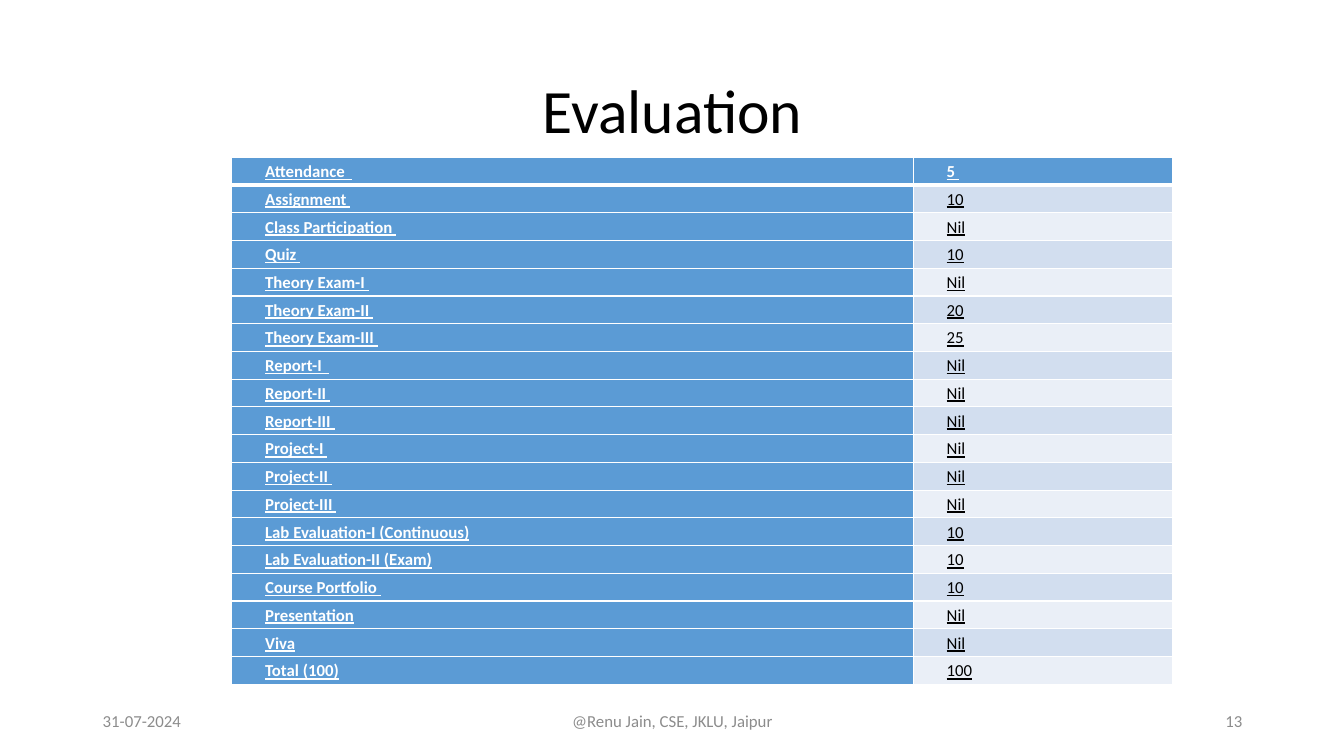
from lxml import etree
from pptx import Presentation
from pptx.dml.color import RGBColor
from pptx.enum.text import MSO_ANCHOR, PP_ALIGN
from pptx.oxml.ns import qn
from pptx.util import Pt

LEFT, CENTER, RIGHT, JUSTIFY = PP_ALIGN.LEFT, PP_ALIGN.CENTER, PP_ALIGN.RIGHT, PP_ALIGN.JUSTIFY
MIDDLE = MSO_ANCHOR.MIDDLE
PX = 9144
THEME = {
    "font": "Calibri", "title": 44, "small": 12,
    "black": "000000", "white": "FFFFFF", "grey": "8C8C8C",
    "blue": "5B9BD5", "bands": ("EAEFF7", "D2DEEF"),
}


def write(tf, text, size, color, align, **font):
    tf.vertical_anchor = MIDDLE
    p = tf.paragraphs[0]
    p.alignment = align
    r = p.add_run()
    r.text = text
    r.font.color.rgb = RGBColor.from_string(THEME[color])
    for name, value in {"name": THEME["font"], "size": Pt(THEME[size]), **font}.items():
        setattr(r.font, name, value)
    return p


def border(cell, side, width):
    ln = etree.SubElement(cell._tc.get_or_add_tcPr(), qn(f"a:ln{side}"), w=str(Pt(width)))
    fill = etree.SubElement(ln, qn("a:solidFill"))
    etree.SubElement(fill, qn("a:srgbClr"), val=THEME["white"])


prs = Presentation()
prs.slide_width, prs.slide_height = 1333 * PX, 750 * PX
s = prs.slides.add_slide(prs.slide_layouts[5])

title = s.shapes.title
title.left, title.top, title.width, title.height = 92 * PX, 40 * PX, 1150 * PX, 145 * PX
write(title.text_frame, "Evaluation", "title", "black", CENTER).line_spacing = 0.9

marks = [
    ("Attendance  ", "5 "),
    ("Assignment ", "10"),
    ("Class Participation ", "Nil"),
    ("Quiz ", "10"),
    ("Theory Exam-I ", "Nil"),
    ("Theory Exam-II ", "20"),
    ("Theory Exam-III ", "25"),
    ("Report-I  ", "Nil"),
    ("Report-II ", "Nil"),
    ("Report-III ", "Nil"),
    ("Project-I ", "Nil"),
    ("Project-II ", "Nil"),
    ("Project-III ", "Nil"),
    ("Lab Evaluation-I (Continuous)", "10"),
    ("Lab Evaluation-II (Exam)", "10"),
    ("Course Portfolio ", "10"),
    ("Presentation", "Nil"),
    ("Viva", "Nil"),
    ("Total (100)", "100"),
]
table = s.shapes.add_table(len(marks), 2, 230 * PX, 156 * PX, 933 * PX, 523 * PX).table
table.horz_banding = False
for col, width in zip(table.columns, (676, 257)):
    col.width = width * PX

for i, row in enumerate(marks):
    for j, text in enumerate(row):
        cell = table.cell(i, j)
        heading = i == 0 or j == 0
        margins = {"margin_left": 7, "margin_right": 7, "margin_top": 0, "margin_bottom": 0}
        for name, value in margins.items():
            setattr(cell, name, value * PX)
        cell.vertical_anchor = MIDDLE
        for side, width in (("L", 1), ("R", 1), ("T", 3 if i == 1 else 1), ("B", 3 if i == 0 else 1)):
            border(cell, side, width)
        cell.fill.solid()
        cell.fill.fore_color.rgb = RGBColor.from_string(THEME["blue"] if heading else THEME["bands"][i % 2])
        p = write(cell.text_frame, text, "small", "white" if heading else "black", JUSTIFY,
                  bold=heading, underline=True)
        p.line_spacing, p.space_after = 1.07, Pt(15)
        pPr = p._p.get_or_add_pPr()
        pPr.set("marL", "0")
        pPr.set("indent", str(26 * PX))

for x, width, text, align in (
    (92, 300, "31-07-2024", LEFT),
    (442, 450, "@Renu Jain, CSE, JKLU, Jaipur", CENTER),
    (942, 300, "13", RIGHT),
):
    tf = s.shapes.add_textbox(x * PX, 695 * PX, width * PX, 40 * PX).text_frame
    tf.word_wrap = True
    write(tf, text, "small", "grey", align)

prs.save("out.pptx")
